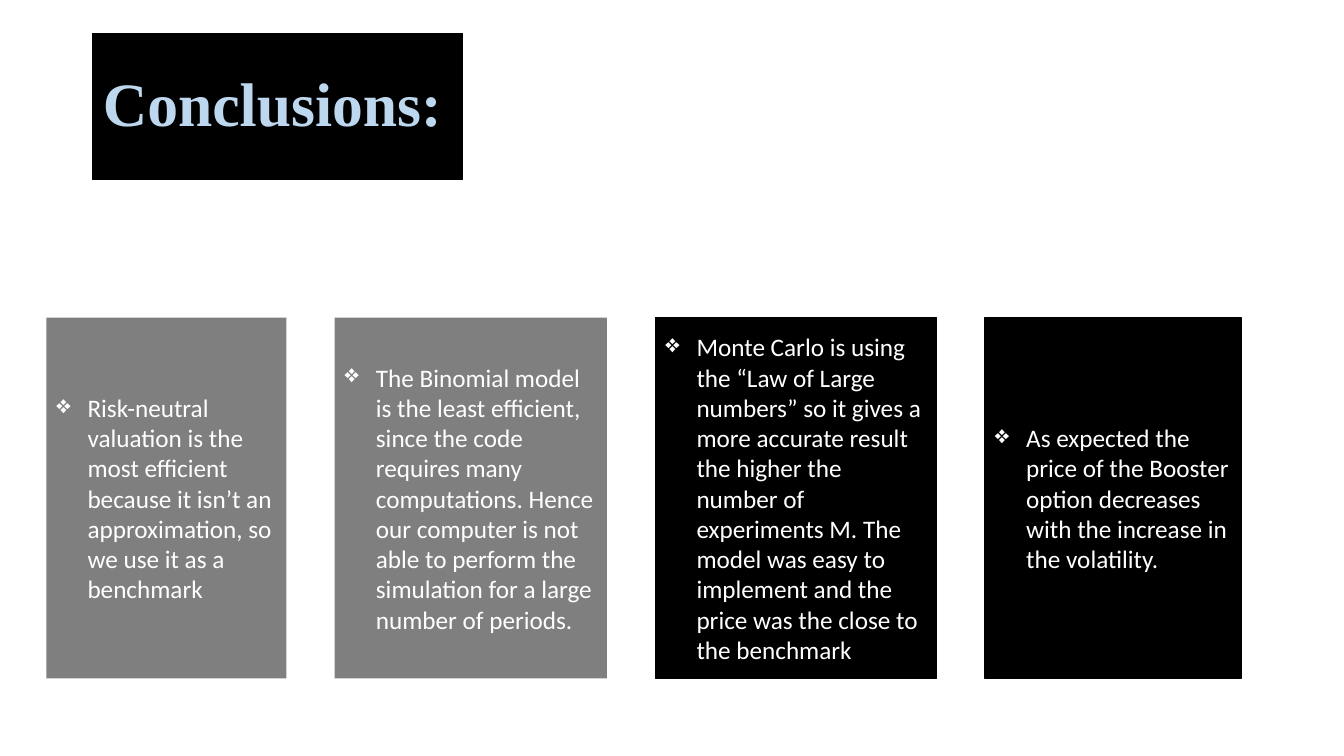
import pptx
import pptx.dml.color
import pptx.enum.shapes
import pptx.enum.text
import pptx.oxml
import pptx.oxml.ns
import pptx.util

Inches = pptx.util.Inches
Pt = pptx.util.Pt
NS = pptx.oxml.ns.nsdecls("a")
GAP = 0.48
CARDS = [
    (2.38, True, "Risk-neutral valuation is the most efficient because it isn’t an "
     "approximation, so we use it as a benchmark"),
    (2.7, True, "The Binomial model is the least efficient, since the code requires many "
     "computations. Hence our computer is not able to perform the simulation for a "
     "large number of periods."),
    (2.79, False, "Monte Carlo is using the “Law of Large numbers” so it gives a more "
     "accurate result the higher the number of experiments M. The model was easy to "
     "implement and the price was the close to the benchmark"),
    (2.54, False, "As expected the price of the Booster option decreases with the "
     "increase in the volatility."),
]


def rgb(value):
    return pptx.dml.color.RGBColor.from_string(value)


def paint(sp, color, clear=False):
    sp.fill.solid()
    sp.fill.fore_color.rgb = rgb(color)
    if clear:
        fill = sp.fill._xPr.find(pptx.oxml.ns.qn("a:solidFill"))
        fill[0].append(pptx.oxml.parse_xml(f'<a:alpha {NS} val="50000"/>'))
        sp.line.fill.background()
    else:
        sp.line.color.rgb = rgb(color)
        sp.line.width = Pt(1)


def write(sp, text, size=18, font="Calibri", color="FFFFFF", bold=False, spacing=1.0):
    tf = sp.text_frame
    tf.word_wrap = True
    tf.auto_size = pptx.enum.text.MSO_AUTO_SIZE.NONE
    tf.vertical_anchor = pptx.enum.text.MSO_ANCHOR.MIDDLE
    p = tf.paragraphs[0]
    p.alignment = pptx.enum.text.PP_ALIGN.LEFT
    p.line_spacing = spacing
    r = p.add_run()
    r.text = text
    r.font.size = Pt(size)
    r.font.name = font
    r.font.bold = bold
    r.font.color.rgb = rgb(color)
    return p, r


def add_bullet(p):
    pPr = p._p.get_or_add_pPr()
    pPr.set("marL", str(Inches(0.31)))
    pPr.set("indent", str(-Inches(0.31)))
    pPr.append(pptx.oxml.parse_xml(f'<a:buChar {NS} char="❖"/>'))


def add_title(s, x, y, w, h):
    sp = s.shapes.title
    sp.left, sp.top, sp.width, sp.height = map(Inches, (x, y, w, h))
    paint(sp, "000000")
    p, r = write(sp, "Conclusions:", size=44, font="Times New Roman", color="BDD7EE",
                 bold=True, spacing=0.9)
    r.font._element.insert(0, pptx.oxml.parse_xml(
        f'<a:ln {NS} w="{Pt(1.75)}"><a:solidFill><a:srgbClr val="2E75B6"/>'
        '</a:solidFill></a:ln>'))


def add_card(s, x, y, w, h, text, clear):
    sp = s.shapes.add_shape(pptx.enum.shapes.MSO_SHAPE.RECTANGLE,
                            Inches(x), Inches(y), Inches(w), Inches(h))
    sp.shadow.inherit = False
    paint(sp, "000000", clear)
    p, r = write(sp, text)
    add_bullet(p)


def add_cards(s, x, y, h):
    for w, clear, text in CARDS:
        add_card(s, x, y, w, h, text, clear)
        x += w + GAP


def main():
    prs = pptx.Presentation()
    prs.slide_width = Inches(13.33)
    prs.slide_height = Inches(7.5)
    s = prs.slides.add_slide(prs.slide_layouts[5])
    add_title(s, 0.92, 0.33, 3.67, 1.45)
    add_cards(s, 0.46, 3.15, 3.58)
    prs.save("out.pptx")


if __name__ == "__main__":
    main()
